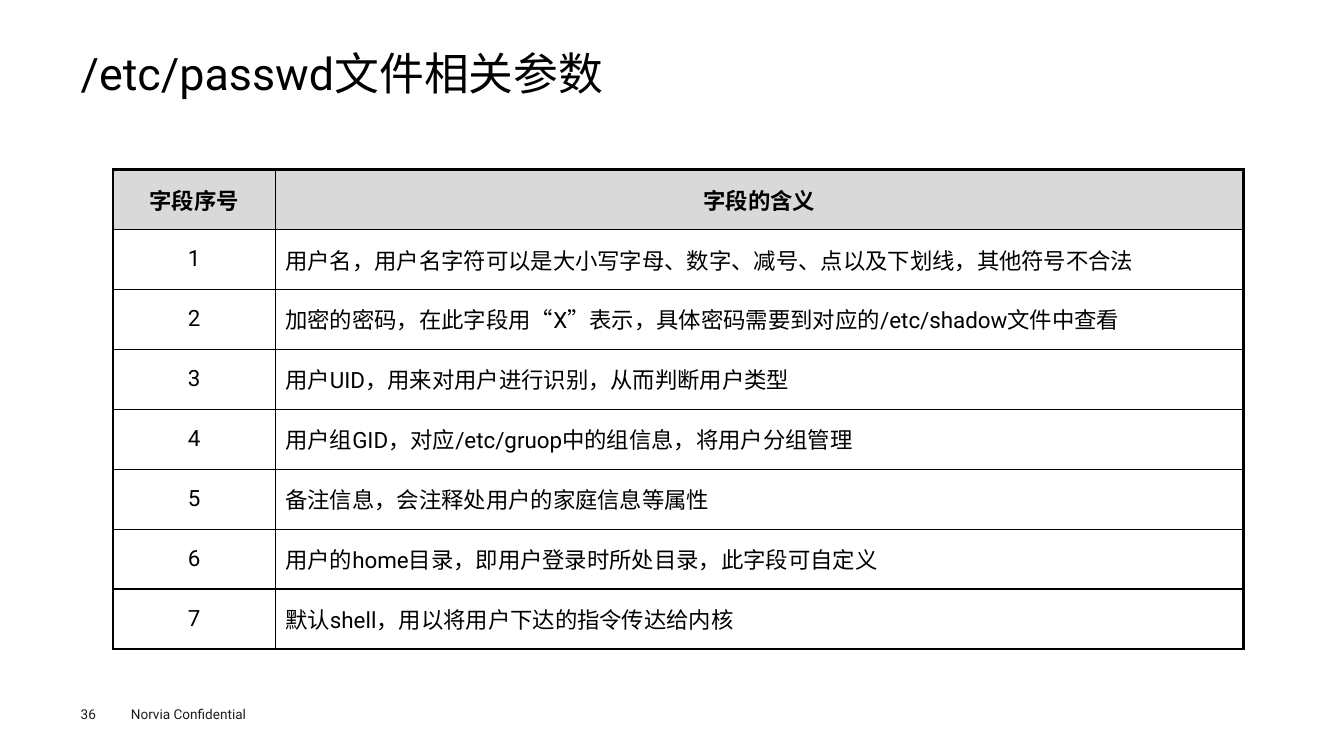
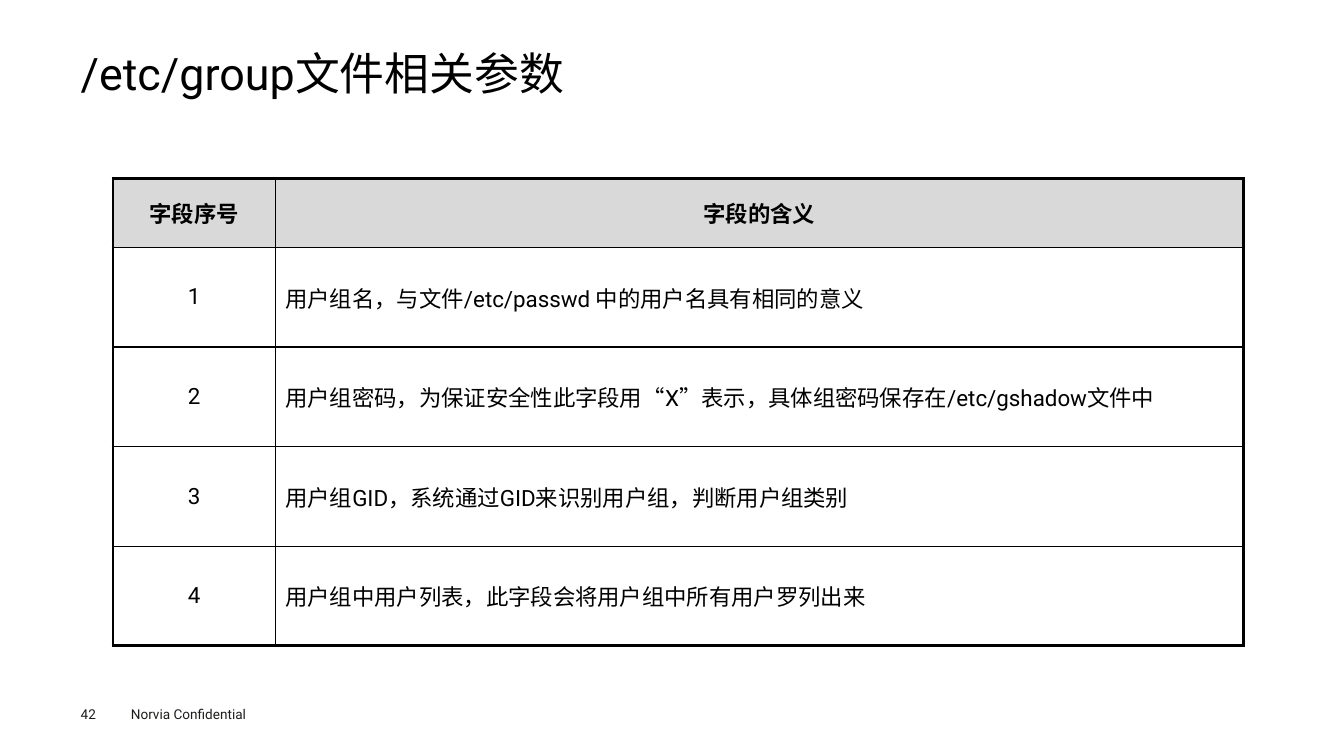
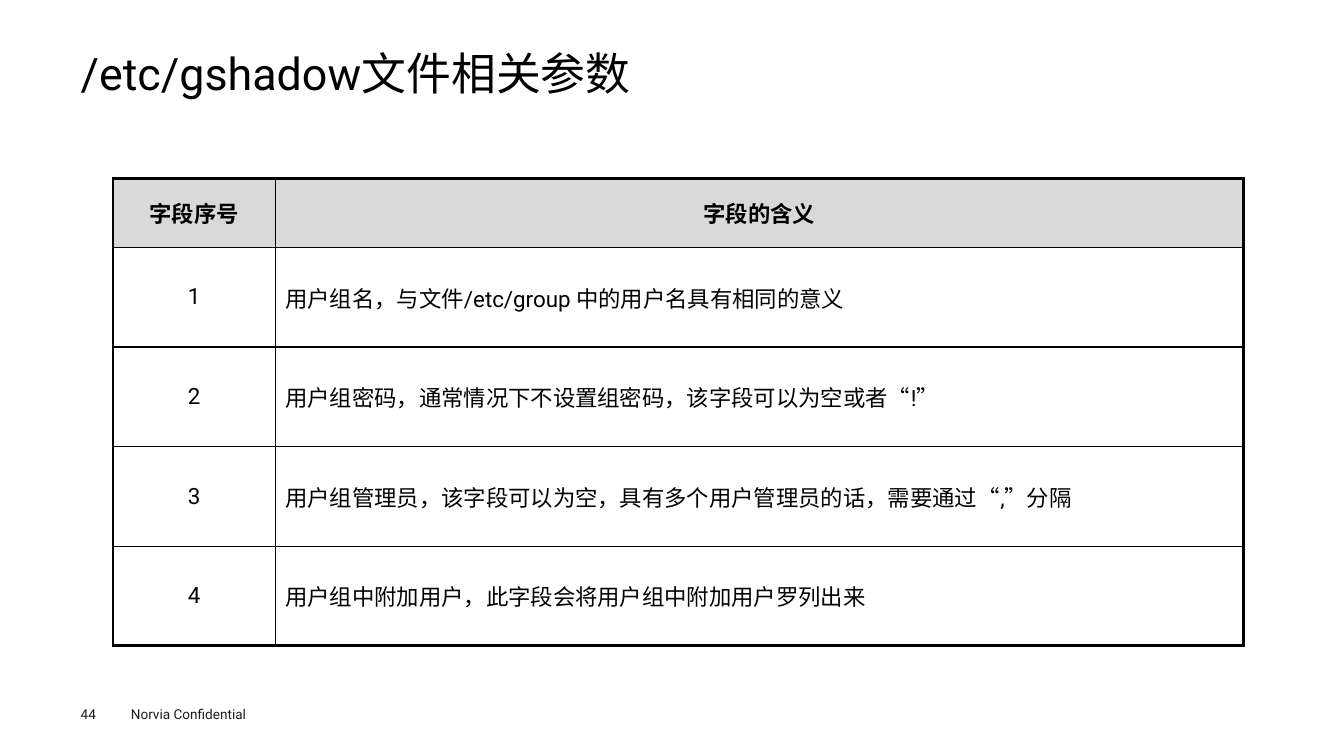
from dataclasses import dataclass

from lxml import etree
from pptx import Presentation
from pptx.dml.color import RGBColor
from pptx.enum.lang import MSO_LANGUAGE_ID
from pptx.enum.text import MSO_ANCHOR, PP_ALIGN
from pptx.oxml.ns import qn
from pptx.slide import Slide
from pptx.table import _Cell
from pptx.text.text import TextFrame
from pptx.util import Pt

BLACK = RGBColor(0x00, 0x00, 0x00)
INK = RGBColor(0x1D, 0x1D, 0x1B)
HEADER_GREY = RGBColor(0xD9, 0xD9, 0xD9)

LEFT, CENTER = PP_ALIGN.LEFT, PP_ALIGN.CENTER
TOP, MIDDLE = MSO_ANCHOR.TOP, MSO_ANCHOR.MIDDLE
CHINESE = MSO_LANGUAGE_ID.SIMPLIFIED_CHINESE
FONT = "Roboto"
TITLE_ONLY = 5

TITLE_FORMAT = {"size": Pt(32), "bold": False}
FOOTER_FORMAT = {"size": Pt(9.7), "bold": False}
HEADER_FORMAT = {"size": Pt(16), "bold": True}
BODY_FORMAT = {"size": Pt(16), "bold": False}

MARGIN_X = 57.6
TABLE_LEFT = 80.64
COLUMN_WIDTHS = (115.92, 691.92)
OUTER_LINE, INNER_LINE = 2.25, 1
HEADERS = ("字段序号", "字段的含义")
FOOTER = "Norvia Confidential"


@dataclass
class FieldPage:
    number: int
    file: str
    top: float
    header_height: float
    row_height: float
    meanings: list[str]


PAGES = [
    FieldPage(36, "/etc/passwd", 120.96, 42.84, 42.84, [
        "用户名，用户名字符可以是大小写字母、数字、减号、点以及下划线，其他符号不合法",
        "加密的密码，在此字段用“X”表示，具体密码需要到对应的/etc/shadow文件中查看",
        "用户UID，用来对用户进行识别，从而判断用户类型",
        "用户组GID，对应/etc/gruop中的组信息，将用户分组管理",
        "备注信息，会注释处用户的家庭信息等属性",
        "用户的home目录，即用户登录时所处目录，此字段可自定义",
        "默认shell，用以将用户下达的指令传达给内核",
    ]),
    FieldPage(42, "/etc/group", 127.44, 49.4, 71.1, [
        "用户组名，与文件/etc/passwd 中的用户名具有相同的意义",
        "用户组密码，为保证安全性此字段用“X”表示，具体组密码保存在/etc/gshadow文件中",
        "用户组GID，系统通过GID来识别用户组，判断用户组类别",
        "用户组中用户列表，此字段会将用户组中所有用户罗列出来",
    ]),
    FieldPage(44, "/etc/gshadow", 127.44, 49.4, 71.1, [
        "用户组名，与文件/etc/group 中的用户名具有相同的意义",
        "用户组密码，通常情况下不设置组密码，该字段可以为空或者“!”",
        "用户组管理员，该字段可以为空，具有多个用户管理员的话，需要通过“,”分隔",
        "用户组中附加用户，此字段会将用户组中附加用户罗列出来",
    ]),
]


def write(tf: TextFrame, text: str, formats: dict, color: RGBColor, align: PP_ALIGN = LEFT) -> None:
    p = tf.paragraphs[0]
    p.alignment = align
    r = p.add_run()
    r.text = text
    r.font.name = FONT
    r.font.language_id = CHINESE
    r.font.color.rgb = color
    for name, value in formats.items():
        setattr(r.font, name, value)


def set_frame(tf: TextFrame, anchor: MSO_ANCHOR, inset_x: float = 0, inset_y: float = 0) -> None:
    insets = {"margin_left": inset_x, "margin_right": inset_x,
              "margin_top": inset_y, "margin_bottom": inset_y}
    for name, value in insets.items():
        setattr(tf, name, Pt(value))
    tf.word_wrap = True
    tf.vertical_anchor = anchor


def add_title(s: Slide, text: str) -> None:
    sp = s.shapes.title
    sp.left, sp.top, sp.width, sp.height = Pt(MARGIN_X), Pt(35.28), Pt(844.8), Pt(38.16)
    set_frame(sp.text_frame, MIDDLE)
    write(sp.text_frame, text, TITLE_FORMAT, BLACK)
    sp.text_frame.paragraphs[0].line_spacing = 0.9


def add_footer(s: Slide, number: int) -> None:
    sp = s.shapes.add_textbox(Pt(86.4), Pt(500.4), Pt(115.2), Pt(19.44))
    set_frame(sp.text_frame, TOP, 7.2, 3.6)
    write(sp.text_frame, FOOTER, FOOTER_FORMAT, INK)
    sp = s.shapes.add_textbox(Pt(MARGIN_X), Pt(504), Pt(39.6), Pt(11.52))
    set_frame(sp.text_frame, TOP)
    write(sp.text_frame, str(number), FOOTER_FORMAT, INK)


def set_borders(cell: _Cell, widths: dict[str, float]) -> None:
    """Add black borders; call before filling, as lines precede the fill in tcPr."""
    props = cell._tc.get_or_add_tcPr()
    for side, width in widths.items():
        line = etree.SubElement(props, qn(f"a:ln{side}"), w=str(Pt(width)))
        fill = etree.SubElement(line, qn("a:solidFill"))
        etree.SubElement(fill, qn("a:srgbClr"), val=str(BLACK))


def add_field_table(s: Slide, page: FieldPage) -> None:
    rows = [HEADERS] + [(str(i), text) for i, text in enumerate(page.meanings, 1)]
    heights = [page.header_height] + [page.row_height] * len(page.meanings)
    table = s.shapes.add_table(len(rows), len(HEADERS), Pt(TABLE_LEFT), Pt(page.top),
                               Pt(sum(COLUMN_WIDTHS)), Pt(sum(heights))).table
    table.first_row = table.horz_banding = False
    for column, width in zip(table.columns, COLUMN_WIDTHS):
        column.width = Pt(width)
    last_row, last_col = len(rows) - 1, len(HEADERS) - 1
    for i, (row, height) in enumerate(zip(rows, heights)):
        table.rows[i].height = Pt(height)
        for j, text in enumerate(row):
            cell = table.cell(i, j)
            cell.vertical_anchor = MIDDLE
            outer = {"L": j == 0, "R": j == last_col, "T": i == 0, "B": i == last_row}
            set_borders(cell, {side: OUTER_LINE if edge else INNER_LINE
                               for side, edge in outer.items()})
            if i == 0:
                cell.fill.solid()
                cell.fill.fore_color.rgb = HEADER_GREY
            else:
                cell.fill.background()
            write(cell.text_frame, text, BODY_FORMAT if i else HEADER_FORMAT, BLACK,
                  CENTER if i == 0 or j == 0 else LEFT)


def main() -> None:
    prs = Presentation()
    prs.slide_width, prs.slide_height = Pt(960), Pt(540)
    for page in PAGES:
        s = prs.slides.add_slide(prs.slide_layouts[TITLE_ONLY])
        add_footer(s, page.number)
        add_title(s, f"{page.file}文件相关参数")
        add_field_table(s, page)
    prs.save("out.pptx")


if __name__ == "__main__":
    main()
